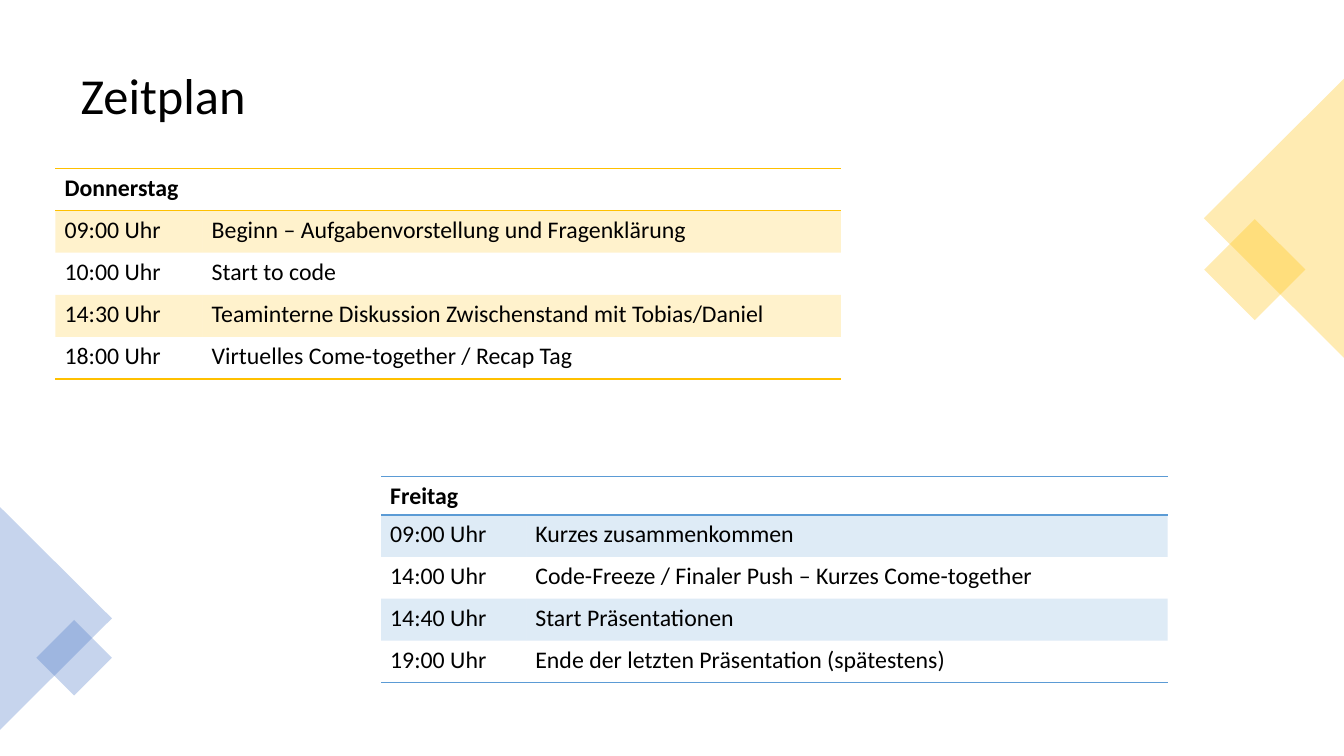
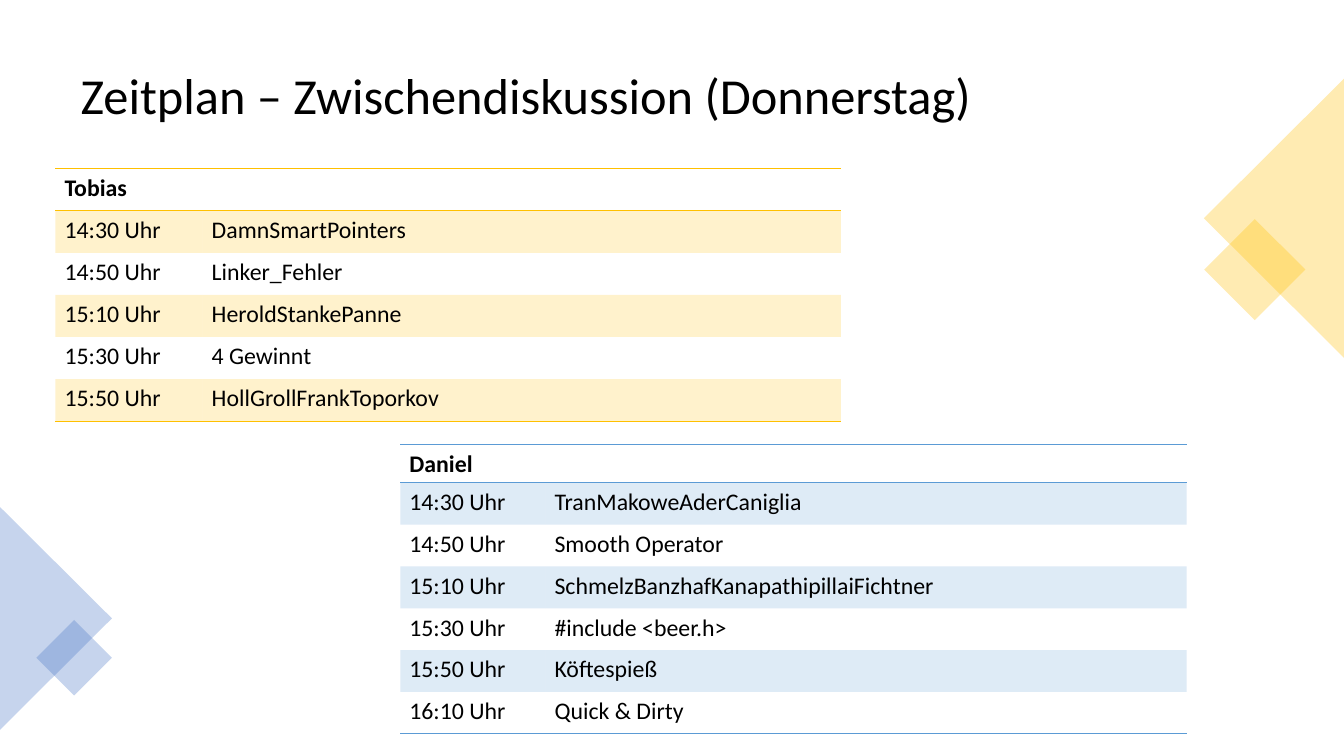
from dataclasses import dataclass

from lxml import etree
from pptx import Presentation
from pptx import util as u
from pptx.dml.color import RGBColor
from pptx.enum import shapes, text
from pptx.oxml import ns


@dataclass
class Theme:
    font: str = "Calibri"
    ink: str = "000000"
    gold: str = "FFC000"
    blue: str = "4472C4"
    sky: str = "5B9BD5"
    head: int = 36
    body: int = 17
    rule: int = 1
    shade: int = 30
    band: int = 20
    plain: str = "{2D5ABB26-0587-4C30-8999-92F81FD0307C}"


theme = Theme()


def write(frame, words, size=theme.body, bold=False, space=None):
    para = frame.paragraphs[0]
    para.alignment = text.PP_ALIGN.LEFT
    para.line_spacing = space
    run = para.add_run()
    run.text = words
    run.font.name = theme.font
    run.font.size = u.Pt(size)
    run.font.bold = bold
    run.font.color.rgb = RGBColor.from_string(theme.ink)


def tint(fill, tone, share):
    fill.solid()
    fill.fore_color.rgb = RGBColor.from_string(tone)
    node = fill._xPr.find(".//" + ns.qn("a:srgbClr"))
    etree.SubElement(node, ns.qn("a:alpha")).set("val", str(share * 1000))


box = shapes.MSO_SHAPE.RECTANGLE
wedge = shapes.MSO_SHAPE.ISOSCELES_TRIANGLE
decor = [
    (box, 12.09, 2.32, 0.71, 0.71, 45, theme.gold),
    (wedge, 11.25, 1.47, 2.77, 1.39, 270, theme.gold),
    (wedge, -0.55, 5.58, 2.21, 1.11, 90, theme.blue),
    (box, 0.47, 6.26, 0.53, 0.53, 45, theme.blue),
]

gold = dict(tone=theme.gold, cols=(1.46, 6.33), first=0.42)
sky = dict(tone=theme.sky, cols=(1.44, 6.36), first=0.38)

plans = [
    ("Zeitplan", [
        (gold, 0.55, 1.67, 2.09, "Donnerstag", [
            ("09:00", "Beginn – Aufgabenvorstellung und Fragenklärung"),
            ("10:00", "Start to code"),
            ("14:30", "Teaminterne Diskussion Zwischenstand mit Tobias/Daniel"),
            ("18:00", "Virtuelles Come-together / Recap Tag"),
        ]),
        (sky, 3.78, 4.73, 2.04, "Freitag", [
            ("09:00", "Kurzes zusammenkommen"),
            ("14:00", "Code-Freeze / Finaler Push – Kurzes Come-together"),
            ("14:40", "Start Präsentationen"),
            ("19:00", "Ende der letzten Präsentation (spätestens)"),
        ]),
    ]),
    ("Zeitplan – Zwischendiskussion (Donnerstag)", [
        (gold, 0.55, 1.67, 2.51, "Tobias", [
            ("14:30", "DamnSmartPointers"),
            ("14:50", "Linker_Fehler"),
            ("15:10", "HeroldStankePanne"),
            ("15:30", "4 Gewinnt"),
            ("15:50", "HollGrollFrankToporkov"),
        ]),
        (sky, 3.97, 4.41, 2.87, "Daniel", [
            ("14:30", "TranMakoweAderCaniglia"),
            ("14:50", "Smooth Operator"),
            ("15:10", "SchmelzBanzhafKanapathipillaiFichtner"),
            ("15:30", "#include <beer.h>"),
            ("15:50", "Köftespieß"),
            ("16:10", "Quick & Dirty"),
        ]),
    ]),
]

deck = Presentation()
deck.slide_width = u.Inches(13.33)
deck.slide_height = u.Inches(7.5)

for name, tables in plans:
    slide = deck.slides.add_slide(deck.slide_layouts[5])
    title = slide.shapes.title
    title.left, title.top = u.Inches(0.7), u.Inches(0.35)
    title.width, title.height = u.Inches(11.93), u.Inches(1.24)
    title.text_frame.vertical_anchor = text.MSO_ANCHOR.MIDDLE
    write(title.text_frame, name, size=theme.head, space=0.9)

    for kind, left, top, width, height, turn, tone in decor:
        place = [u.Inches(n) for n in (left, top, width, height)]
        shape = slide.shapes.add_shape(kind, *place)
        shape.rotation = turn
        shape.shadow.inherit = False
        shape.line.fill.background()
        tint(shape.fill, tone, theme.shade)

    for style, left, top, height, label, items in tables:
        rows = [(label, "")] + [(f"{time} Uhr", topic) for time, topic in items]
        last = len(rows) - 1
        place = [u.Inches(n) for n in (left, top, sum(style["cols"]), height)]
        table = slide.shapes.add_table(len(rows), 2, *place).table
        table.horz_banding = False
        table._tbl.tblPr.find(ns.qn("a:tableStyleId")).text = theme.plain
        for col, width in zip(table.columns, style["cols"]):
            col.width = u.Inches(width)

        for i, row in enumerate(rows):
            step = (height - style["first"]) / last if i else style["first"]
            table.rows[i].height = u.Inches(step)
            sides = {0: ["lnT", "lnB"], last: ["lnB"]}.get(i, [])
            for j, words in enumerate(row):
                cell = table.cell(i, j)
                cell.margin_left = cell.margin_right = u.Inches(0.09)
                cell.margin_top, cell.margin_bottom = u.Inches(0.05), u.Inches(0.04)
                write(cell.text_frame, words, bold=i == 0)
                props = cell._tc.get_or_add_tcPr()
                for side in sides:
                    line = etree.SubElement(props, ns.qn("a:" + side))
                    line.set("w", str(u.Pt(theme.rule)))
                    fill = etree.SubElement(line, ns.qn("a:solidFill"))
                    etree.SubElement(fill, ns.qn("a:srgbClr")).set("val", style["tone"])
                if i % 2:
                    cell.fill.solid()
                    cell.fill.fore_color.rgb = RGBColor.from_string(style["tone"])
                    node = props.find(ns.qn("a:solidFill"))[0]
                    etree.SubElement(node, ns.qn("a:alpha")).set("val", str(theme.band * 1000))
                else:
                    cell.fill.background()

deck.save("out.pptx")
